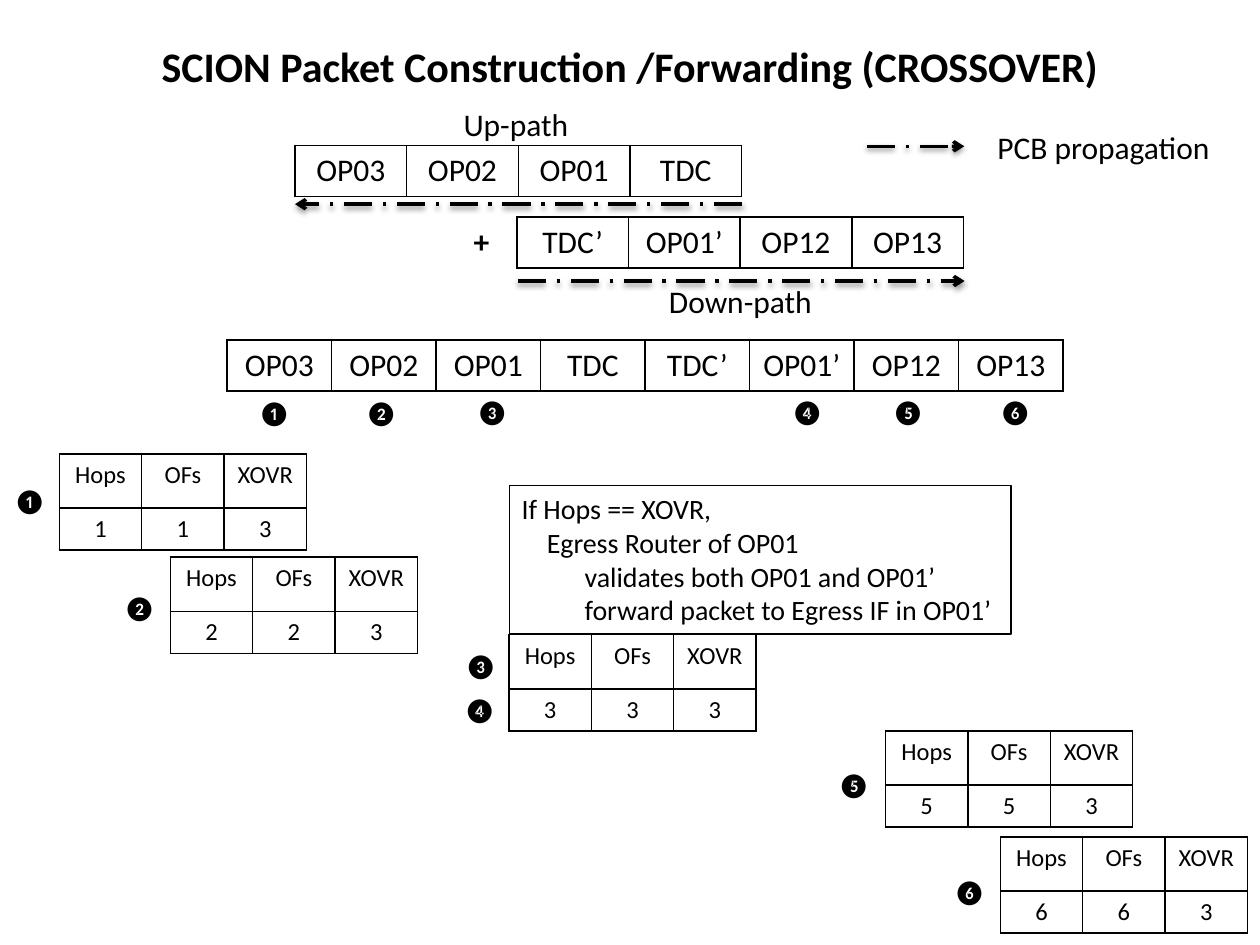
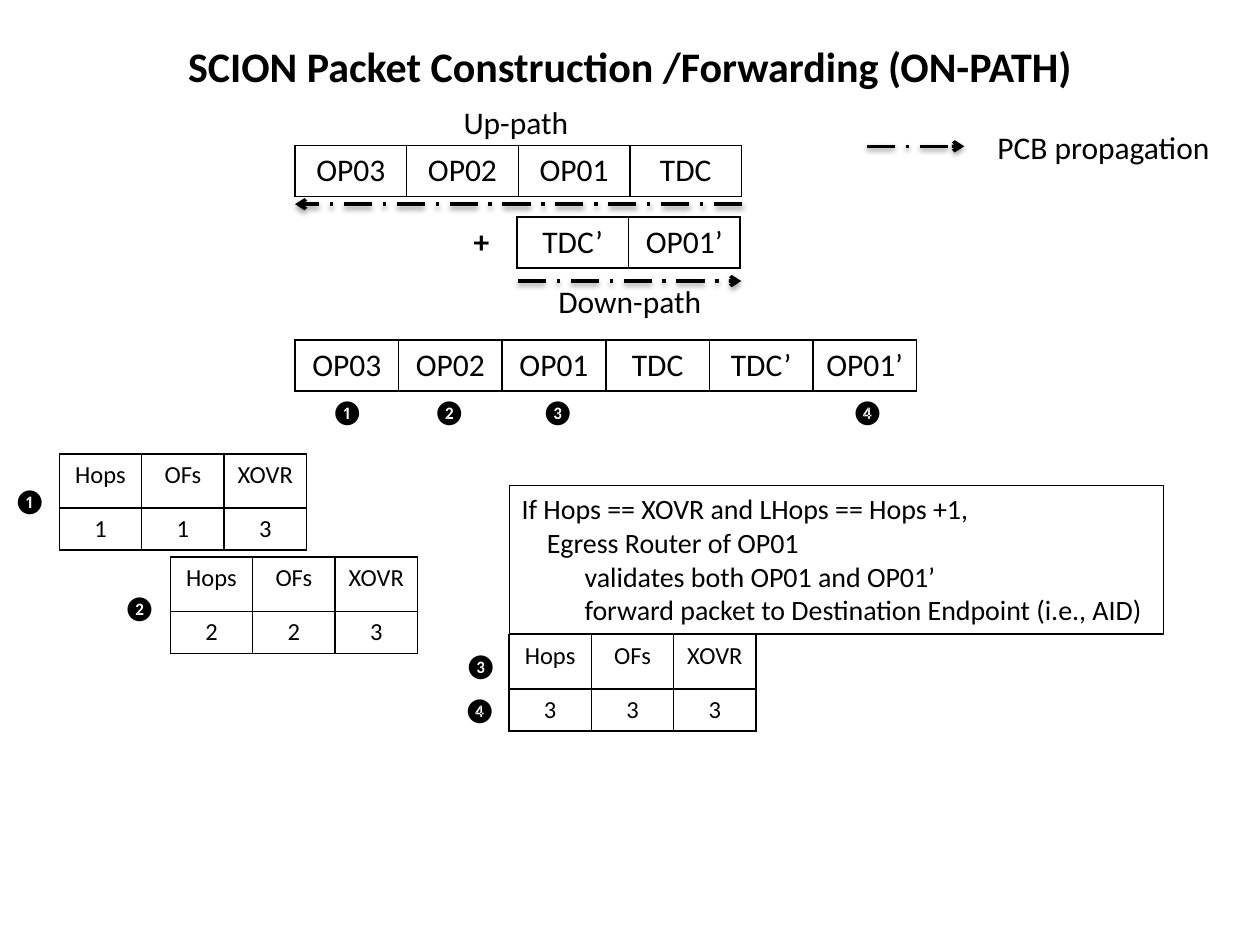
from pptx import Presentation, util as u
from pptx.dml.color import RGBColor
from pptx.enum import dml, shapes, text
from pptx.oxml import parse_xml
from pptx.oxml.ns import nsdecls

Pt = u.Pt
BLACK = RGBColor(0, 0, 0)
FRAME = {"word_wrap": False, "auto_size": text.MSO_AUTO_SIZE.SHAPE_TO_FIT_TEXT,
         "vertical_anchor": text.MSO_ANCHOR.TOP}
PLAIN = {"first_row": False, "horz_banding": False}
LEFT, MID = text.PP_ALIGN.LEFT, text.PP_ALIGN.CENTER
NS = nsdecls("a")
SIDES = ("lnL", "lnR", "lnT", "lnB")
EDGE = (f'<a:%s {NS} w="12700"><a:solidFill><a:srgbClr val="{BLACK}"/>'
        '</a:solidFill></a:%s>')
TAIL = f'<a:tailEnd {NS} type="arrow"/>'
SHADE = (f'<a:effectLst {NS}><a:outerShdw blurRad="{Pt(3.1)}" dist="{Pt(1.6)}" '
         f'dir="5400000" rotWithShape="0"><a:srgbClr val="{BLACK}">'
         '<a:alpha val="38000"/></a:srgbClr></a:outerShdw></a:effectLst>')

UP = ["OP03", "OP02", "OP01", "TDC"]
DOWN = ["TDC’", "OP01’", "OP12", "OP13"]
HEAD = ["Hops", "OFs", "XOVR"]
BADGES = "❶❷❸❹❺❻"
HOPS = [(1, 33.9, 259.3), (2, 97.3, 318.3), (3, 290.8, 362.6),
        (5, 506, 417.6), (6, 571.6, 478.2)]
MARKS = [(0.7, 274.3), (63.4, 335.5), (258.5, 368.6), (257.8, 393.8),
         (471.6, 436.3), (537.8, 497.5)]
INDENTS = [0, 14.4, 36, 36]

SLIDES = [
    {"title": "SCION Packet Construction /Forwarding (CROSSOVER)", "wide": 555,
     "down": DOWN, "uptop": 56.3, "downx": 375.2, "pathx": 129.7, "cell": 59.75,
     "spots": [(140.4, 224), (201.6, 224), (265, 223.2), (445, 223.2),
               (502.6, 223.2), (563.8, 223.2)],
     "rule": "If Hops == XOVR,", "goal": "Egress IF in OP01’", "box": 286.8},
    {"title": "SCION Packet Construction /Forwarding (ON-PATH)", "wide": 525,
     "down": DOWN[:2], "uptop": 55.3, "downx": 312, "pathx": 168.6, "cell": 59.2,
     "spots": [(182.2, 223.2), (240.5, 223.2), (302.4, 223.2), (479.5, 223.2)],
     "rule": "If Hops == XOVR and LHops == Hops +1,",
     "goal": "Destination Endpoint (i.e., AID)", "box": 373.7},
]


def write(frame, lines, size, bold=False, align=LEFT):
    form = {"name": "Calibri", "size": Pt(size), "bold": bold}
    for row, line in enumerate(lines):
        par = frame.add_paragraph() if row else frame.paragraphs[0]
        par.alignment = align
        run = par.add_run()
        run.text = line
        for key, val in form.items():
            setattr(run.font, key, val)
        run.font.color.rgb = BLACK


def grid(slide, rows, x, y, wide, highs, size):
    cols = len(rows[0])
    table = slide.shapes.add_table(len(rows), cols, Pt(x), Pt(y),
                                   Pt(wide * cols), Pt(sum(highs))).table
    for key, val in PLAIN.items():
        setattr(table, key, val)
    for col in table.columns:
        col.width = Pt(wide)
    for r, row in enumerate(rows):
        table.rows[r].height = Pt(highs[r])
        for c, word in enumerate(row):
            cell = table.cell(r, c)
            write(cell.text_frame, [word], size, align=MID)
            cell.fill.background()
            props = cell._tc.get_or_add_tcPr()
            for n, side in enumerate(SIDES):
                props.insert(n, parse_xml(EDGE % (side, side)))


deck = Presentation()
deck.slide_width, deck.slide_height = Pt(720), Pt(540)

for page in SLIDES:
    slide = deck.slides.add_slide(deck.slide_layouts[5])
    down, count = page["down"], len(page["spots"])

    title = slide.shapes.title
    place = {"left": Pt(360 - page["wide"] / 2), "top": Pt(19.4),
             "width": Pt(page["wide"]), "height": Pt(36.4)}
    for key, val in place.items():
        setattr(title, key, val)
    for key, val in FRAME.items():
        setattr(title.text_frame, key, val)
    write(title.text_frame, [page["title"]], 24, True, MID)

    for row, x, y, wide in [(down, 295.4, 124, 63.8),
                            (UP + down, page["pathx"], 194.3, page["cell"]),
                            (UP, 168.6, 83, 63.8)]:
        grid(slide, [row], x, y, wide, [29.2], 18)

    for hop, x, y in HOPS:
        if hop <= count:
            grid(slide, [HEAD, [str(hop), str(hop), "3"]], x, y, 47.1, [31, 24], 14)

    labels = [("Up-path", 257.8, page["uptop"], 75, 29, 18, False),
              ("Down-path", page["downx"], 157.7, 97, 29, 18, False),
              ("+", 263.5, 123.3, 24, 29, 18, True),
              ("PCB propagation", 562.8, 69.4, 137.5, 29, 18, False)]
    for spots in (page["spots"], MARKS[:count]):
        labels += [(mark, x, y, 33, 24.2, 14, False)
                   for mark, (x, y) in zip(BADGES, spots)]
    for word, x, y, wide, high, size, bold in labels:
        label = slide.shapes.add_textbox(Pt(x), Pt(y), Pt(wide), Pt(high))
        for key, val in FRAME.items():
            setattr(label.text_frame, key, val)
        write(label.text_frame, [word], size, bold)

    box = slide.shapes.add_shape(shapes.MSO_SHAPE.RECTANGLE, Pt(291), Pt(277.6),
                                 Pt(page["box"]), Pt(84.8))
    box.shadow.inherit = False
    box.fill.background()
    box.line.color.rgb = BLACK
    box.line.width = Pt(0.75)
    for key, val in FRAME.items():
        setattr(box.text_frame, key, val)
    write(box.text_frame, [page["rule"], "Egress Router of OP01",
                           "validates both OP01 and OP01’",
                           "forward packet to " + page["goal"]], 16)
    for par, dent in zip(box.text_frame.paragraphs, INDENTS):
        props = par._p.get_or_add_pPr()
        props.set("marL", str(Pt(dent)))
        props.set("indent", "0")

    for start, end, y in [(296, 296 + 63.8 * len(down), 160.6),
                          (424, 168.6, 116.7), (495.4, 551, 83.6)]:
        arrow = slide.shapes.add_connector(shapes.MSO_CONNECTOR.STRAIGHT,
                                           Pt(start), Pt(y), Pt(end), Pt(y))
        arrow.line.color.rgb = BLACK
        arrow.line.width = Pt(2)
        arrow.line.dash_style = dml.MSO_LINE.LONG_DASH_DOT
        arrow.line._get_or_add_ln().append(parse_xml(TAIL))
        arrow._element.spPr.append(parse_xml(SHADE))

deck.save("out.pptx")
